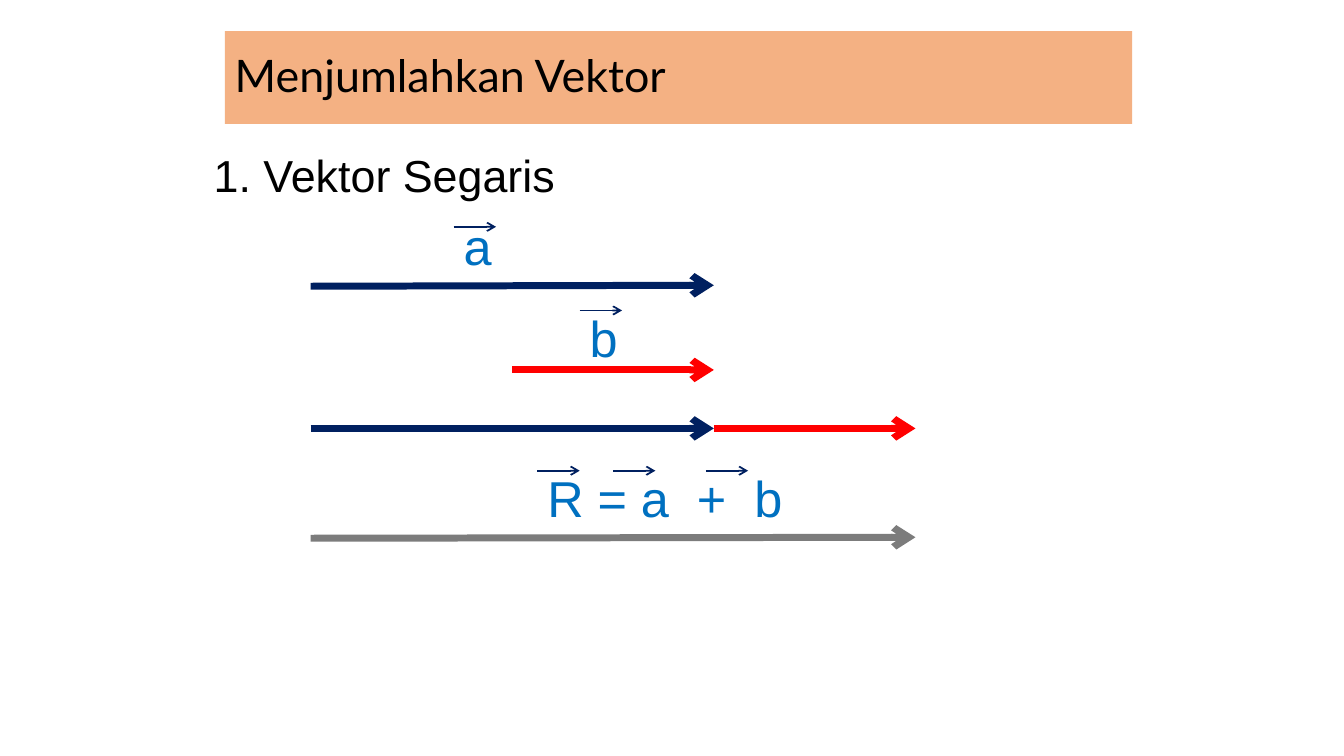
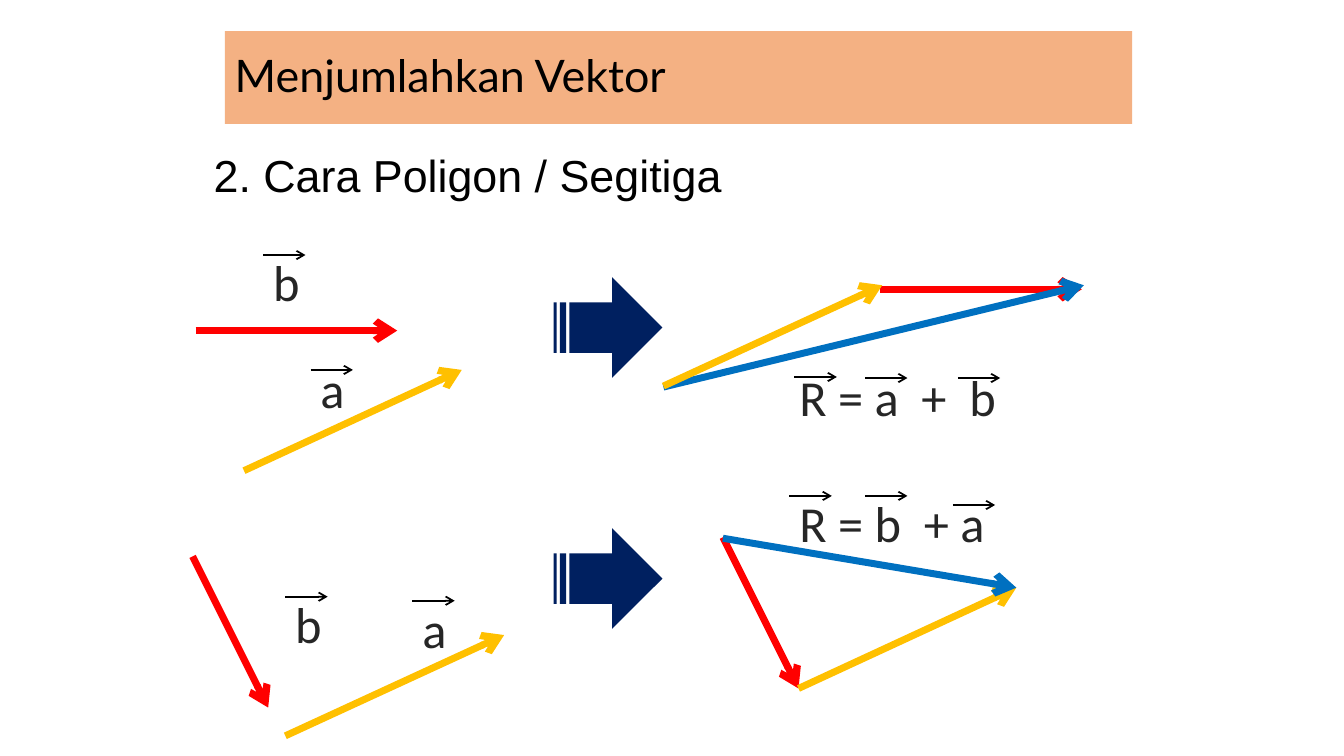
from dataclasses import dataclass

from lxml.etree import SubElement
from pptx import Presentation
from pptx.dml.color import RGBColor
from pptx.enum.shapes import MSO_CONNECTOR, MSO_SHAPE
from pptx.enum.text import MSO_ANCHOR, MSO_AUTO_SIZE, PP_ALIGN
from pptx.oxml.ns import qn
from pptx.util import Inches, Pt


@dataclass(frozen=True)
class Theme:
    band: str = "F4B183"
    black: str = "000000"
    dark: str = "262626"
    navy: str = "002060"
    blue: str = "0070C0"
    red: str = "FF0000"
    gold: str = "FFC000"
    gray: str = "7C7C7C"
    title_font: str = "Lato"
    heading_font: str = "Arial"
    heading_size: int = 32
    label_size: int = 36
    vector_width: float = 5
    mark_width: float = 1.25


T = Theme()
TITLE = "Menjumlahkan Vektor"
MARK_LENGTH = 0.42

# Vectors: start x, start y, run, rise (down is positive), colour; back to front.
# Labels: text, left, top, width, offsets of the small arrows over its letters.
SLIDES = [
    {
        "heading": ("1. Vektor Segaris", 3.61),
        "label_font": "Arial",
        "label_color": T.blue,
        "mark_color": T.navy,
        "block_arrows": [],
        "vectors": [
            (3.08, 2.84, 4, -0.01, T.navy),
            (5.08, 3.67, 2, 0, T.red),
            (3.08, 4.25, 4, 0, T.navy),
            (7.08, 4.25, 2, 0, T.red),
            (3.08, 5.34, 6, -0.01, T.gray),
        ],
        "labels": [
            ("a", 4.5, 2.08, 0.48, [(0, 0.17)]),
            ("b", 5.75, 3, 0.48, [(0, 0.08)]),
            ("R = a  +  b", 5.33, 4.58, 2.56,
             [(0, 0.09), (0.75, 0.09), (1.67, 0.09)]),
        ],
    },
    {
        "heading": ("2. Cara Poligon / Segitiga", 5.28),
        "label_font": "Calibri",
        "label_color": T.dark,
        "mark_color": T.black,
        "block_arrows": [(5.49, 2.75), (5.49, 5.24)],
        "vectors": [
            (1.94, 3.28, 2, 0, T.red),
            (2.42, 4.67, 2.16, -1, T.gold),
            (8.73, 2.87, 2, 0, T.red),
            (6.58, 3.84, 4.17, -1.01, T.blue),
            (6.58, 3.83, 2.17, -1, T.gold),
            (1.91, 5.52, 0.75, 1.5, T.red),
            (2.83, 7.3, 2.17, -1, T.gold),
            (7.17, 5.33, 0.75, 1.5, T.red),
            (7.92, 6.83, 2.16, -1, T.gold),
            (7.17, 5.34, 2.91, 0.49, T.blue),
        ],
        "labels": [
            ("b", 2.61, 2.44, 0.47, [(0, 0.09)]),
            ("a", 3.08, 3.5, 0.45, [(0, 0.17)]),
            ("R = a  +  b", 7.83, 3.58, 2.17,
             [(0.05, 0.16), (0.75, 0.17), (1.67, 0.17)]),
            ("b", 2.83, 5.83, 0.47, [(0, 0.09)]),
            ("a", 4.09, 5.88, 0.45, [(0, 0.08)]),
            ("R = b  + a", 7.83, 4.83, 2.05,
             [(0, 0.09), (0.75, 0.09), (1.62, 0.18)]),
        ],
    },
]


def rgb(color):
    return RGBColor.from_string(color)


def write(tf, text, font, size, color):
    tf.text = text
    p = tf.paragraphs[0]
    p.alignment = PP_ALIGN.LEFT
    f = p.runs[0].font
    f.name, f.size, f.color.rgb = font, Pt(size), rgb(color)
    return p


def add_block(s, kind, left, top, width, height, color):
    sp = s.shapes.add_shape(kind, *map(Inches, (left, top, width, height)))
    sp.shadow.inherit = False
    sp.fill.solid()
    sp.fill.fore_color.rgb = rgb(color)
    sp.line.fill.background()
    return sp


def add_text(s, text, left, top, width, height, font, size, color):
    tb = s.shapes.add_textbox(*map(Inches, (left, top, width, height)))
    tf = tb.text_frame
    tf.word_wrap = False
    tf.auto_size = MSO_AUTO_SIZE.SHAPE_TO_FIT_TEXT
    write(tf, text, font, size, color)


def add_arrow(s, x, y, run, rise, color, width):
    ends = map(Inches, (x, y, x + run, y + rise))
    c = s.shapes.add_connector(MSO_CONNECTOR.STRAIGHT, *ends)
    c.line.color.rgb = rgb(color)
    c.line.width = Pt(width)
    SubElement(c.line._get_or_add_ln(), qn("a:tailEnd"), type="arrow")
    SubElement(c._element.spPr, qn("a:effectLst"))


def add_title(s):
    sp = add_block(s, MSO_SHAPE.RECTANGLE, 2.23, 0.31, 9, 0.92, T.band)
    sp.text_frame.vertical_anchor = MSO_ANCHOR.MIDDLE
    p = write(sp.text_frame, TITLE, T.title_font, T.heading_size, T.black)
    p.line_spacing = 0.9


def build_slide(prs, data):
    s = prs.slides.add_slide(prs.slide_layouts[6])
    add_title(s)
    heading, width = data["heading"]
    add_text(s, heading, 2.02, 1.42, width, 0.64,
             T.heading_font, T.heading_size, T.black)
    for left, top in data["block_arrows"]:
        add_block(s, MSO_SHAPE.STRIPED_RIGHT_ARROW, left, top, 1.08, 1, T.navy)
    for vector in data["vectors"]:
        add_arrow(s, *vector, T.vector_width)
    for text, left, top, width, marks in data["labels"]:
        add_text(s, text, left, top, width, 0.71,
                 data["label_font"], T.label_size, data["label_color"])
        for dx, dy in marks:
            add_arrow(s, left + dx, top + dy, MARK_LENGTH, 0,
                      data["mark_color"], T.mark_width)


def main():
    prs = Presentation()
    prs.slide_width, prs.slide_height = Inches(13.33), Inches(7.5)
    for data in SLIDES:
        build_slide(prs, data)
    prs.save("out.pptx")


if __name__ == "__main__":
    main()
